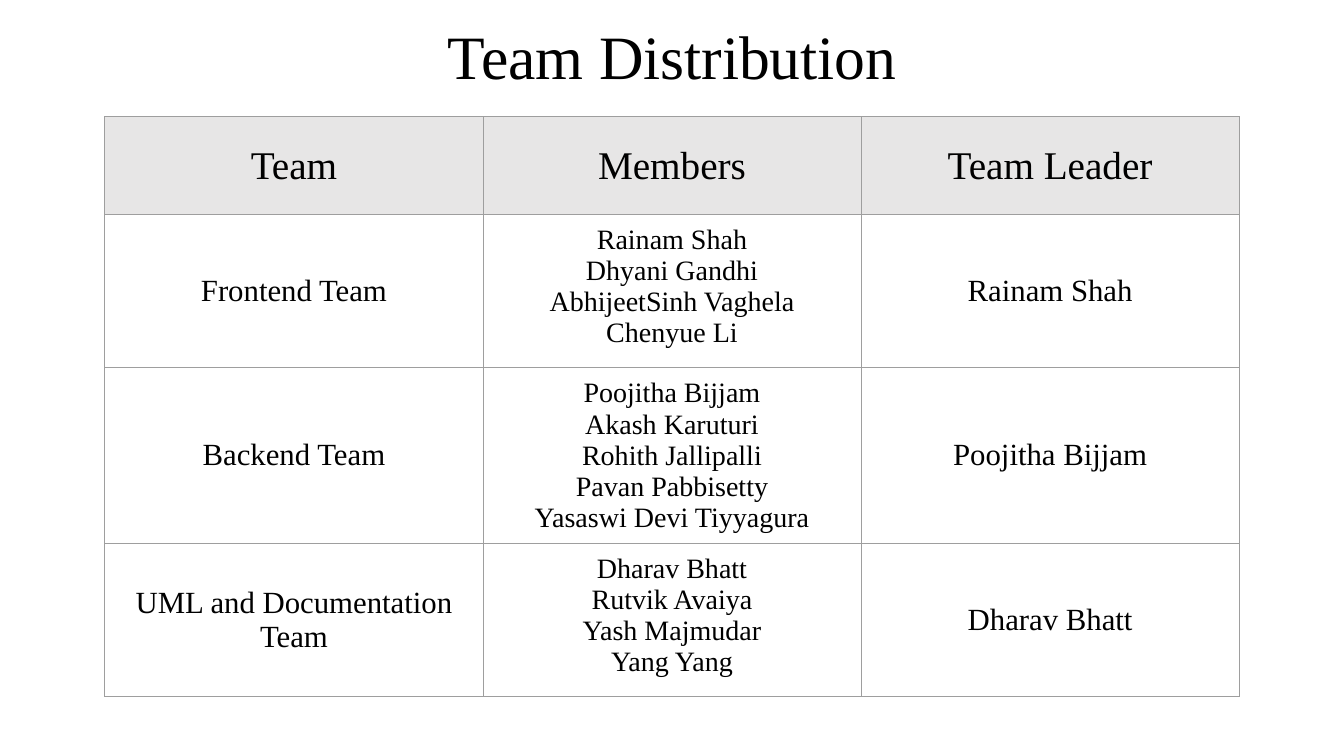
from lxml import etree
from pptx import Presentation
from pptx.dml.color import RGBColor
from pptx.enum.text import MSO_ANCHOR, PP_ALIGN
from pptx.oxml.ns import qn
from pptx.util import Inches, Pt

CENTER = PP_ALIGN.CENTER
TOP, MIDDLE = MSO_ANCHOR.TOP, MSO_ANCHOR.MIDDLE
FONT = "Times New Roman"
BLACK, HEADER_GRAY, BORDER_GRAY = "000000", "E7E6E6", "9E9E9E"

ROWS = [
    ("Team", "Members", "Team Leader"),
    ("Frontend Team",
     "Rainam Shah\nDhyani Gandhi\nAbhijeetSinh Vaghela\nChenyue Li",
     "Rainam Shah"),
    ("Backend Team",
     "Poojitha Bijjam\nAkash Karuturi\nRohith Jallipalli\nPavan Pabbisetty\nYasaswi Devi Tiyyagura",
     "Poojitha Bijjam"),
    ("UML and Documentation Team",
     "Dharav Bhatt\nRutvik Avaiya\nYash Majmudar\nYang Yang",
     "Dharav Bhatt"),
]
COLUMN_WIDTH, HEADER_HEIGHT, TEAM_HEIGHT = 3.75, 0.97, 1.52


def format_text(text_frame, size):
    for paragraph in text_frame.paragraphs:
        paragraph.alignment = CENTER
        for run in paragraph.runs:
            run.font.name = FONT
            run.font.size = Pt(size)
            run.font.color.rgb = RGBColor.from_string(BLACK)


def add_borders(cell):
    properties = cell._tc.get_or_add_tcPr()
    for side in ("lnL", "lnR", "lnT", "lnB"):
        line = etree.SubElement(properties, qn(f"a:{side}"), w=str(Pt(0.75)))
        fill = etree.SubElement(line, qn("a:solidFill"))
        etree.SubElement(fill, qn("a:srgbClr"), val=BORDER_GRAY)


presentation = Presentation()
presentation.slide_width = Inches(13.33)
presentation.slide_height = Inches(7.5)
slide = presentation.slides.add_slide(presentation.slide_layouts[5])

title = slide.shapes.title
title.left, title.top = Inches(0.92), Inches(0.16)
title.width, title.height = Inches(11.5), Inches(0.86)
title.text_frame.text = "Team Distribution"
title.text_frame.vertical_anchor = MIDDLE
title.text_frame.paragraphs[0].line_spacing = 0.9
format_text(title.text_frame, 44)

table_height = HEADER_HEIGHT + TEAM_HEIGHT * (len(ROWS) - 1)
table = slide.shapes.add_table(
    len(ROWS), 3, Inches(1.04), Inches(1.16),
    Inches(COLUMN_WIDTH * 3), Inches(table_height)).table
table.horz_banding = False

for column in table.columns:
    column.width = Inches(COLUMN_WIDTH)

for row_index, texts in enumerate(ROWS):
    is_header = row_index == 0
    table.rows[row_index].height = Inches(HEADER_HEIGHT if is_header else TEAM_HEIGHT)
    for column_index, text in enumerate(texts):
        is_member_list = column_index == 1 and not is_header
        cell = table.cell(row_index, column_index)
        cell.text_frame.text = text
        cell.vertical_anchor = TOP if is_member_list else MIDDLE
        cell.margin_left = cell.margin_right = Inches(0.1)
        cell.margin_top = cell.margin_bottom = Inches(0.1)
        add_borders(cell)
        if is_header:
            cell.fill.solid()
            cell.fill.fore_color.rgb = RGBColor.from_string(HEADER_GRAY)
        else:
            cell.fill.background()
        format_text(cell.text_frame, 28 if is_header else 20 if is_member_list else 22)
        for paragraph in cell.text_frame.paragraphs:
            for run in paragraph.runs:
                run.font.bold = False

presentation.save("out.pptx")
